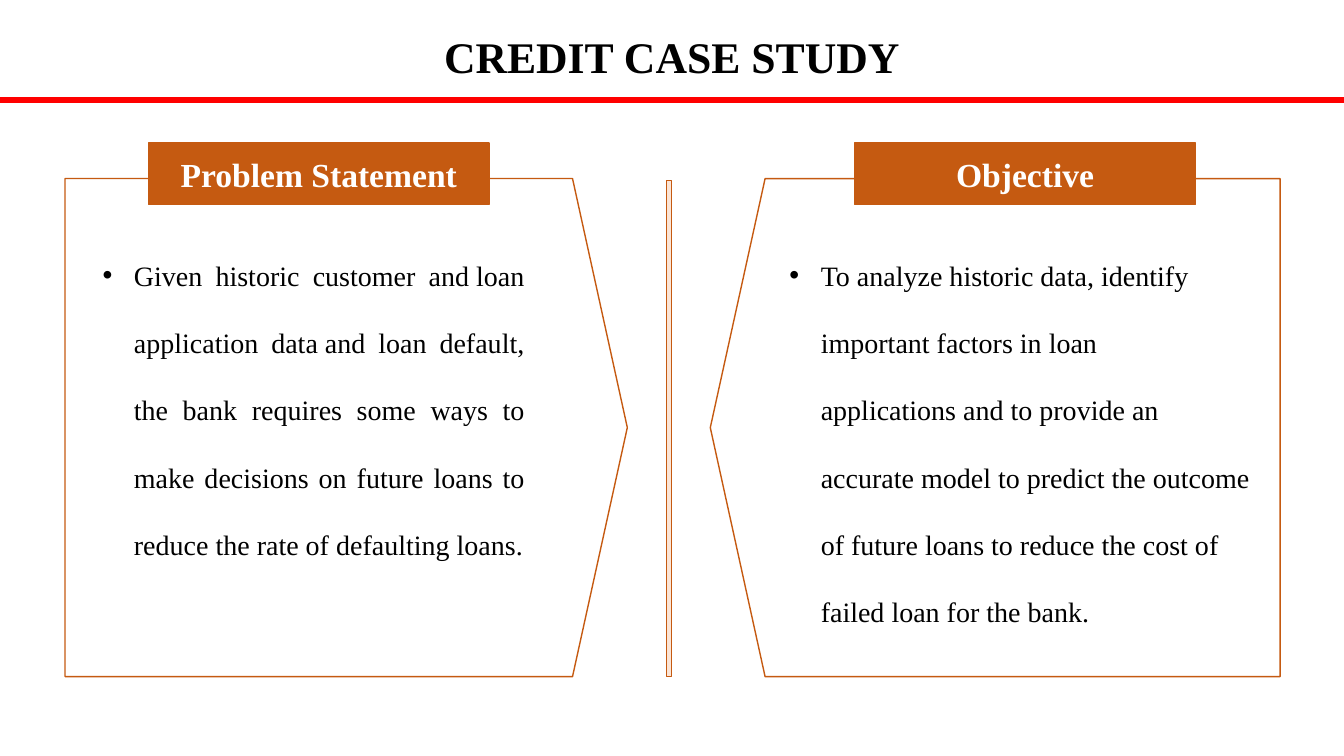
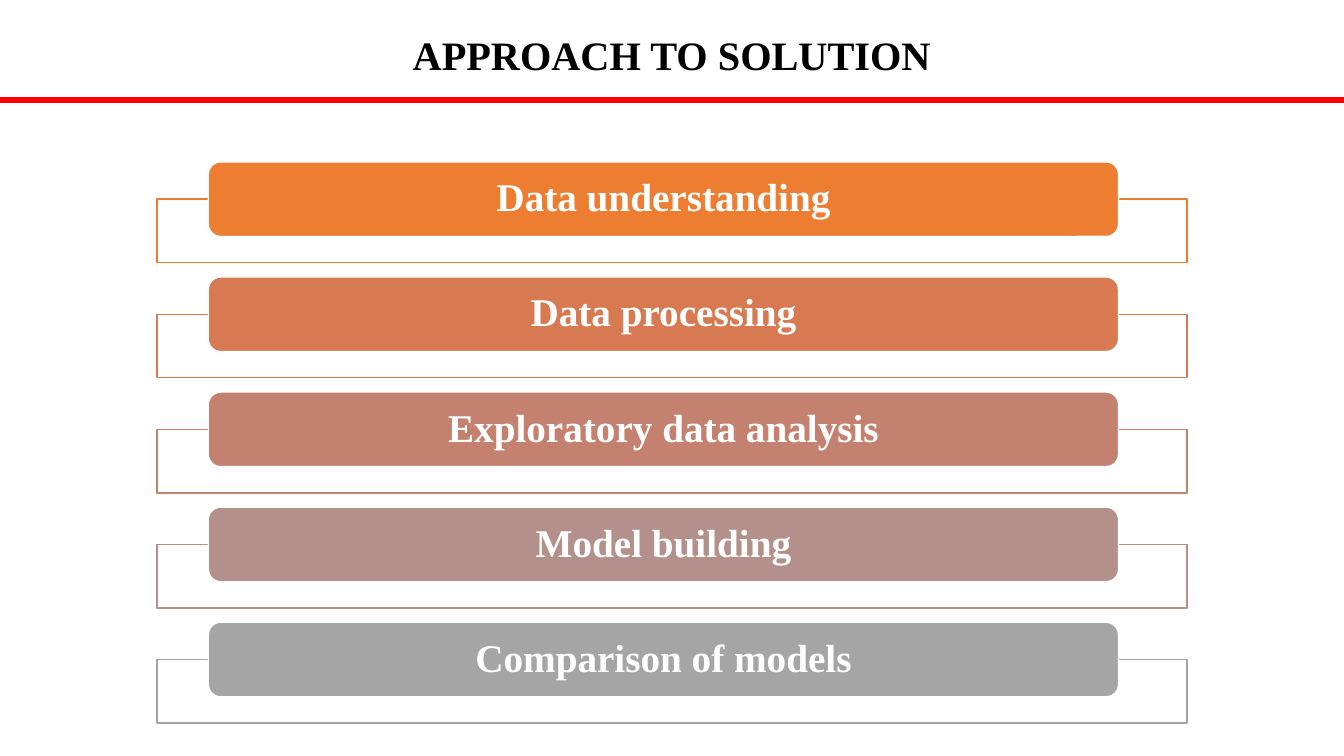
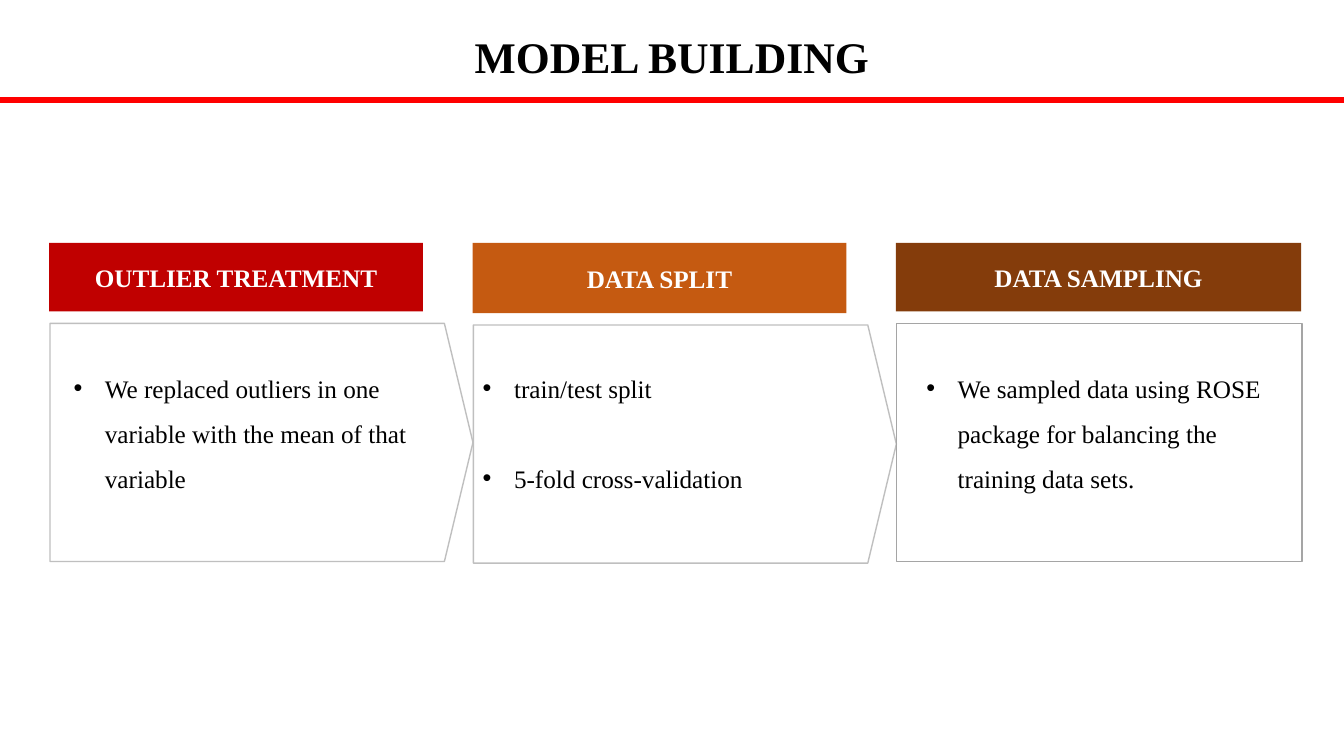
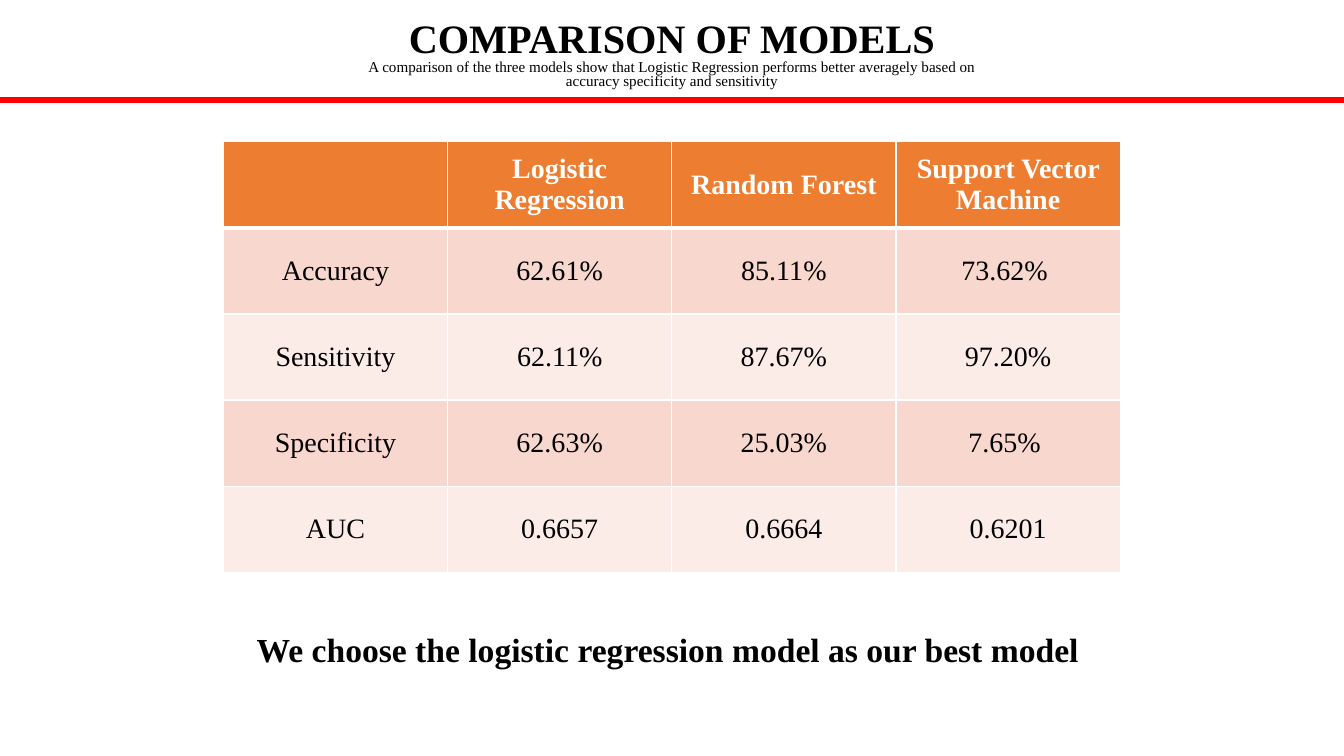
"""Build a four-slide deck on a credit default case study."""
from dataclasses import dataclass
from typing import Optional

from lxml import etree
from pptx import Presentation
from pptx.dml.color import RGBColor
from pptx.enum.shapes import MSO_SHAPE
from pptx.enum.text import MSO_ANCHOR, MSO_AUTO_SIZE, PP_ALIGN
from pptx.oxml.ns import qn
from pptx.shapes.autoshape import Shape
from pptx.slide import Slide
from pptx.table import _Cell
from pptx.text.text import TextFrame, _Paragraph
from pptx.util import Cm, Pt

RECT = MSO_SHAPE.RECTANGLE
ROUNDED = MSO_SHAPE.ROUNDED_RECTANGLE
PENTAGON = MSO_SHAPE.PENTAGON
ARROW = MSO_SHAPE.RIGHT_ARROW
TOP, MIDDLE = MSO_ANCHOR.TOP, MSO_ANCHOR.MIDDLE
LEFT, CENTER, JUSTIFY = PP_ALIGN.LEFT, PP_ALIGN.CENTER, PP_ALIGN.JUSTIFY
NO_AUTOFIT = MSO_AUTO_SIZE.NONE

FONT = "Times New Roman"
NO_BREAK = chr(160)
BLACK = RGBColor(0x00, 0x00, 0x00)
WHITE = RGBColor(0xFF, 0xFF, 0xFF)
RED = RGBColor(0xFF, 0x00, 0x00)
CRIMSON = RGBColor(0xC0, 0x00, 0x00)
RUST = RGBColor(0xC5, 0x5A, 0x11)
BROWN = RGBColor(0x84, 0x3C, 0x0B)
ORANGE = RGBColor(0xED, 0x7D, 0x31)
CORAL = RGBColor(0xD8, 0x7A, 0x51)
ROSE = RGBColor(0xC4, 0x81, 0x70)
MAUVE = RGBColor(0xB4, 0x90, 0x8B)
GRAY = RGBColor(0xA5, 0xA5, 0xA5)
LIGHT_GRAY = RGBColor(0xBF, 0xBF, 0xBF)
CREAM = RGBColor(0xFB, 0xE5, 0xD6)
DARK_BAND = RGBColor(0xF8, 0xD7, 0xCE)
LIGHT_BAND = RGBColor(0xFC, 0xEC, 0xE8)

WIDTH, HEIGHT = 33.87, 19.05
TWO_CONTENT, COMPARISON, TITLE_ONLY = 3, 4, 5
BULLET_INDENT = 0.79


@dataclass(frozen=True)
class Box:
    """Position and size in centimetres."""

    left: float
    top: float
    width: float
    height: float


@dataclass(frozen=True)
class Panel:
    """A pentagon with a heading and one bullet."""

    heading: str
    text: str
    outline: Box
    heading_left: float
    list_box: Box
    align: PP_ALIGN = LEFT
    rotation: int = 0


@dataclass(frozen=True)
class Step:
    """One stage of the approach."""

    label: str
    color: RGBColor


@dataclass(frozen=True)
class Card:
    """One column of the model building slide."""

    heading: str
    color: RGBColor
    bullets: tuple[str, ...]
    list_left: float
    heading_width: float = 9.42
    body_width: float = 10.66
    body_kind: MSO_SHAPE = ARROW
    drop: float = 0


TITLE_BOX = Box(9.96, 0.76, 13.94, 2.11)

PANELS = (
    Panel(
        "Problem Statement",
        f"Given historic customer and{NO_BREAK}loan application data{NO_BREAK}and "
        "loan default, the bank requires some ways to make decisions on future "
        "loans to reduce the rate of defaulting loans.",
        Box(1.64, 4.5, 14.17, 12.55), 3.74, Box(2.33, 5.54, 11.15, 8.53), JUSTIFY,
    ),
    Panel(
        "Objective",
        "To analyze historic data, identify important factors in loan "
        f"applications{NO_BREAK}and to provide an accurate model to predict the "
        "outcome of future loans to reduce the cost of failed loan for the bank.",
        Box(17.9, 4.5, 14.36, 12.55), 21.54, Box(19.64, 5.54, 12.12, 10.26),
        rotation=180,
    ),
)

STEPS = (
    Step("Data understanding", ORANGE),
    Step("Data processing", CORAL),
    Step("Exploratory data analysis", ROSE),
    Step("Model building", MAUVE),
    Step("Comparison of models", GRAY),
)

CARDS = (
    Card("OUTLIER TREATMENT", CRIMSON,
         ("We replaced outliers in one variable with the mean of that variable",), 1.6),
    Card("DATA SPLIT", RUST, ("train/test split", "5-fold cross-validation"),
         11.91, drop=0.04),
    Card("DATA SAMPLING", BROWN,
         ("We sampled data using ROSE package for balancing the training data sets.",),
         23.09, 10.21, 10.21, RECT),
)

RESULTS = (
    ("", "Logistic Regression", "Random Forest", "Support Vector Machine"),
    ("Accuracy", "62.61%", "85.11%", "73.62% "),
    ("Sensitivity", "62.11%", "87.67%", "97.20%"),
    ("Specificity", "62.63%", "25.03%", "7.65% "),
    ("AUC", "0.6657", "0.6664", "0.6201"),
)


def lengths(box: Box) -> tuple[Cm, Cm, Cm, Cm]:
    """Return the box as slide lengths."""
    return Cm(box.left), Cm(box.top), Cm(box.width), Cm(box.height)


def write_text(paragraph: _Paragraph, text: str, *, size: float, bold: bool = False,
               color: RGBColor = BLACK, align: PP_ALIGN = LEFT,
               spacing: float = 1.0, before: float = 0) -> None:
    """Write one formatted run into a paragraph."""
    paragraph.alignment = align
    paragraph.line_spacing = spacing
    paragraph.space_before = Pt(before)
    run = paragraph.add_run()
    run.text = text
    run.font.name = FONT
    run.font.size = Pt(size)
    run.font.bold = bold
    run.font.color.rgb = color


def add_bullet(paragraph: _Paragraph) -> None:
    """Give a paragraph a hanging round bullet."""
    properties = paragraph._p.get_or_add_pPr()
    properties.set("marL", str(Cm(BULLET_INDENT)))
    properties.set("indent", str(-Cm(BULLET_INDENT)))
    etree.SubElement(properties, qn("a:buChar")).set("char", "•")


def place_text(placeholder: Shape, box: Box) -> TextFrame:
    """Move a placeholder and return its text frame, set to start at the top."""
    placeholder.left, placeholder.top, placeholder.width, placeholder.height = lengths(box)
    frame = placeholder.text_frame
    frame.auto_size = NO_AUTOFIT
    frame.vertical_anchor = TOP
    frame.word_wrap = True
    return frame


def fill_list(placeholder: Shape, box: Box, bullets: tuple[str, ...], *, size: float,
              spacing: float, align: PP_ALIGN = LEFT, gap: float = 0) -> None:
    """Turn a body placeholder into a bulleted list."""
    frame = place_text(placeholder, box)
    for index, bullet in enumerate(bullets):
        paragraph = frame.add_paragraph() if index else frame.paragraphs[0]
        write_text(paragraph, bullet, size=size, spacing=spacing, align=align,
                   before=gap if index else 0)
        add_bullet(paragraph)


def draw_shape(slide: Slide, kind: MSO_SHAPE, box: Box, *,
               fill: Optional[RGBColor] = None, line: Optional[RGBColor] = None,
               adjustments: tuple[float, ...] = ()) -> Shape:
    """Draw a flat preset shape."""
    shape = slide.shapes.add_shape(kind, *lengths(box))
    shape.shadow.inherit = False
    for index, value in enumerate(adjustments):
        shape.adjustments[index] = value
    if fill is None:
        shape.fill.background()
    else:
        shape.fill.solid()
        shape.fill.fore_color.rgb = fill
    if line is None:
        shape.line.fill.background()
    else:
        shape.line.color.rgb = line
        shape.line.width = Pt(1)
    return shape


def draw_label(slide: Slide, kind: MSO_SHAPE, box: Box, text: str, *, size: float,
               fill: RGBColor, line: Optional[RGBColor] = None,
               spacing: float = 1.0) -> None:
    """Draw a filled shape with centred bold white text."""
    frame = draw_shape(slide, kind, box, fill=fill, line=line).text_frame
    frame.vertical_anchor = MIDDLE
    frame.word_wrap = True
    write_text(frame.paragraphs[0], text, size=size, bold=True, color=WHITE,
               align=CENTER, spacing=spacing)


def start_slide(deck: Presentation, layout: int, title: str, *, size: float = 31.2,
                spacing: float = 0.92, box: Box = TITLE_BOX) -> Slide:
    """Add a slide with the shared title style and red rule."""
    slide = deck.slides.add_slide(deck.slide_layouts[layout])
    frame = place_text(slide.shapes.title, box)
    write_text(frame.paragraphs[0], title, size=size, bold=True, align=CENTER,
               spacing=spacing)
    draw_shape(slide, RECT, Box(0, 2.46, WIDTH, 0.13), fill=RED, line=RED)
    return slide


def build_case_study(deck: Presentation) -> None:
    """Build the problem and objective slide."""
    slide = start_slide(deck, TWO_CONTENT, "CREDIT CASE STUDY")
    draw_shape(slide, RECT, Box(16.79, 4.55, 0.13, 12.5), fill=CREAM, line=RUST)
    bodies = list(slide.placeholders)[1:]
    for panel, body in zip(PANELS, bodies):
        fill_list(body, panel.list_box, (panel.text,), size=20, spacing=2.0,
                  align=panel.align)
        pentagon = draw_shape(slide, PENTAGON, panel.outline, line=RUST,
                              adjustments=(0.11,))
        pentagon.rotation = panel.rotation
        draw_label(slide, RECT, Box(panel.heading_left, 3.6, 8.59, 1.55),
                   panel.heading, size=24, fill=RUST, line=RUST)


def build_approach(deck: Presentation) -> None:
    """Build the slide of stacked steps."""
    slide = start_slide(deck, TITLE_ONLY, "APPROACH TO SOLUTION", size=28.8, spacing=0.9)
    for index, step in enumerate(STEPS):
        top = 4.08 + 2.9 * index
        draw_shape(slide, RECT, Box(3.96, top + 0.94, 25.96, 1.6),
                   fill=WHITE, line=step.color)
        draw_label(slide, ROUNDED, Box(5.25, top, 22.94, 1.88), step.label,
                   size=28, fill=step.color, line=WHITE, spacing=0.9)


def build_model_building(deck: Presentation) -> None:
    """Build the slide of three preparation cards."""
    slide = start_slide(deck, COMPARISON, "MODEL BUILDING")
    bodies = list(slide.placeholders)[1:]
    for index, (card, body) in enumerate(zip(CARDS, bodies)):
        left = 1.24 + 10.67 * index
        is_arrow = card.body_kind == ARROW
        draw_shape(slide, card.body_kind,
                   Box(left + 0.02, 8.15 + card.drop, card.body_width, 6),
                   line=LIGHT_GRAY if is_arrow else GRAY,
                   adjustments=(1, 0.12) if is_arrow else ())
        draw_label(slide, RECT, Box(left, 6.12, card.heading_width, 1.73 + card.drop),
                   card.heading, size=18, fill=card.color)
        fill_list(body, Box(card.list_left, 8.89, 9.83, 4.72), card.bullets,
                  size=18, spacing=1.5, gap=32)
    for unused in bodies[len(CARDS):]:
        unused._element.getparent().remove(unused._element)


def set_borders(cell: _Cell, *, top: float = 1, bottom: float = 1) -> None:
    """Draw white borders around a cell."""
    properties = cell._tc.get_or_add_tcPr()
    sides = (("a:lnL", 1), ("a:lnR", 1), ("a:lnT", top), ("a:lnB", bottom))
    for index, (side, width) in enumerate(sides):
        border = etree.Element(qn(side), w=str(Pt(width)))
        solid = etree.SubElement(border, qn("a:solidFill"))
        etree.SubElement(solid, qn("a:srgbClr")).set("val", str(WHITE))
        properties.insert(index, border)


def build_comparison(deck: Presentation) -> None:
    """Build the results table slide."""
    slide = start_slide(deck, TITLE_ONLY, "COMPARISON OF MODELS", size=28.8,
                        spacing=0.8, box=Box(8.92, 0.43, 16.03, 2.11))
    write_text(slide.shapes.title.text_frame.add_paragraph(),
               "A comparison of the three models show that Logistic Regression "
               "performs better averagely based on accuracy specificity and sensitivity",
               size=10.8, align=CENTER, spacing=0.8)

    rows, columns = len(RESULTS), len(RESULTS[0])
    table_box = Box(5.63, 3.57, 5.65 * columns, 2.17 * rows)
    table = slide.shapes.add_table(rows, columns, *lengths(table_box)).table
    table.horz_banding = False
    for row, values in enumerate(RESULTS):
        is_header = row == 0
        band = ORANGE if is_header else DARK_BAND if row % 2 else LIGHT_BAND
        for column, value in enumerate(values):
            cell = table.cell(row, column)
            cell.fill.solid()
            cell.fill.fore_color.rgb = band
            cell.vertical_anchor = MIDDLE
            set_borders(cell, top=3 if row == 1 else 1, bottom=3 if is_header else 1)
            if value:
                write_text(cell.text_frame.paragraphs[0], value, size=20,
                           bold=is_header, color=WHITE if is_header else BLACK,
                           align=CENTER)

    conclusion = slide.shapes.add_textbox(*lengths(Box(6.22, 15.72, 21.44, 1.27)))
    conclusion.text_frame.word_wrap = False
    write_text(conclusion.text_frame.paragraphs[0],
               "We choose the logistic regression model as our best model",
               size=24, bold=True)


def main() -> None:
    """Build and save the deck."""
    deck = Presentation()
    deck.slide_width, deck.slide_height = Cm(WIDTH), Cm(HEIGHT)
    build_case_study(deck)
    build_approach(deck)
    build_model_building(deck)
    build_comparison(deck)
    deck.save("out.pptx")


if __name__ == "__main__":
    main()
